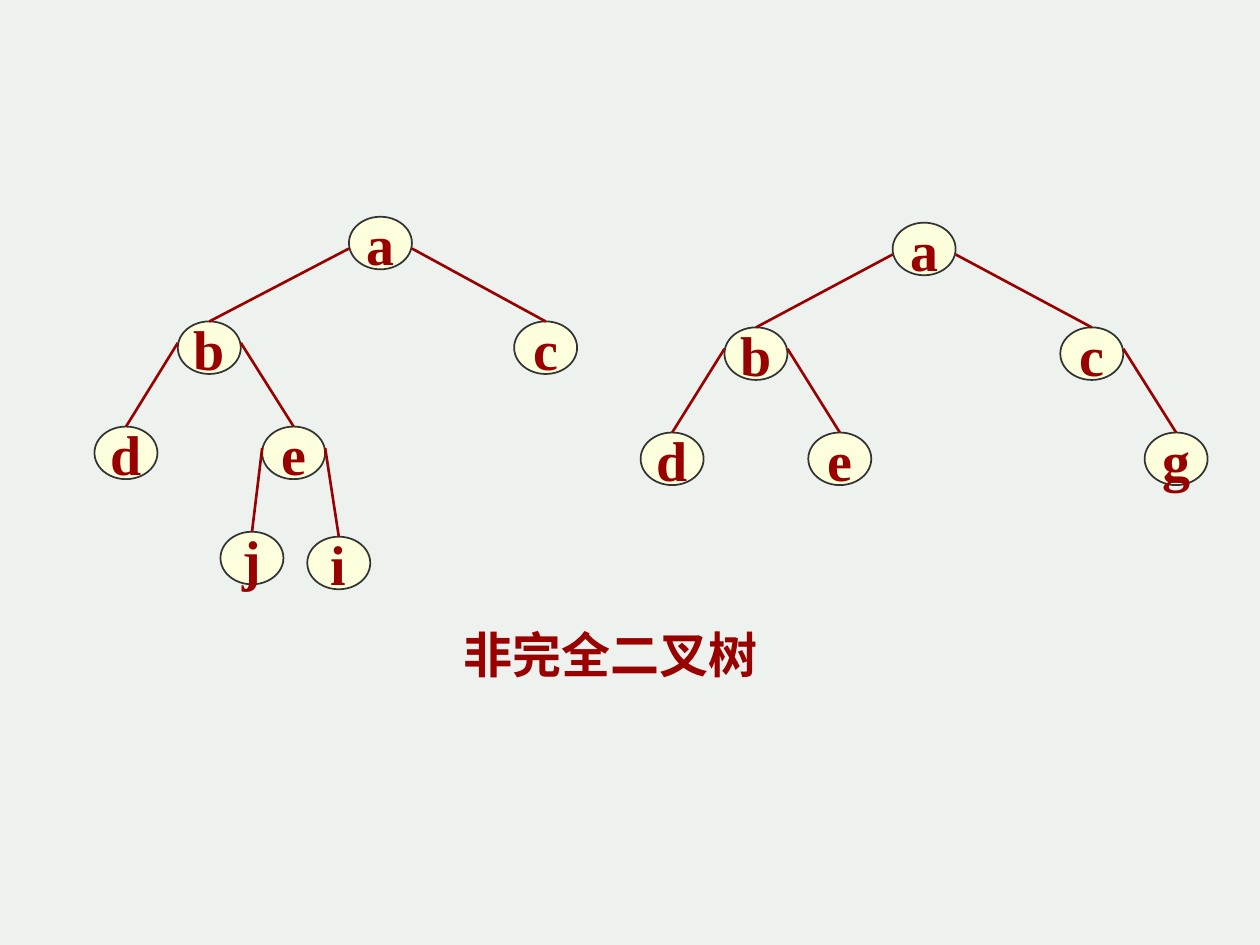
"""Build a slide that shows two binary trees that are not complete."""
from lxml.etree import SubElement
from pptx import Presentation
from pptx.dml.color import RGBColor
from pptx.enum.shapes import MSO_CONNECTOR, MSO_SHAPE
from pptx.enum.text import MSO_ANCHOR, MSO_AUTO_SIZE, PP_ALIGN
from pptx.oxml.ns import qn
from pptx.util import Cm, Pt

BACKGROUND = RGBColor(0xEE, 0xF2, 0xEE)
NODE_FILL = RGBColor(0xFC, 0xFE, 0xDC)
NODE_OUTLINE = RGBColor(0x33, 0x33, 0x33)
DARK_RED = RGBColor(0x99, 0x00, 0x00)
FONT = "Times New Roman"

NODE_WIDTH, NODE_HEIGHT = 1.27, 1.06
ROOT_DROP, BRANCH_DROP = 0.64, 0.43

LEFT_NODES = {
    "a": (7.67, 4.37),
    "b": (4.22, 6.48), "c": (11, 6.48),
    "d": (2.54, 8.6), "e": (5.92, 8.6),
    "i": (6.83, 10.82), "j": (5.08, 10.72),
}
LEFT_EDGES = ["ab", "ac", "bd", "be", "ei", "ej"]
RIGHT_NODES = {
    "a": (18.63, 4.49),
    "b": (15.24, 6.6), "c": (22.01, 6.6),
    "d": (13.55, 8.72), "e": (16.93, 8.72), "g": (23.71, 8.72),
}
RIGHT_EDGES = ["ab", "ac", "bd", "be", "cg"]


def style_text(paragraph, size):
    font = paragraph.runs[0].font
    font.name = FONT
    font.size = Pt(size)
    font.bold = True
    font.color.rgb = DARK_RED


def add_node(slide, label, center, top):
    node = slide.shapes.add_shape(
        MSO_SHAPE.OVAL, Cm(center - NODE_WIDTH / 2), Cm(top),
        Cm(NODE_WIDTH), Cm(NODE_HEIGHT))
    node.shadow.inherit = False
    node.fill.solid()
    node.fill.fore_color.rgb = NODE_FILL
    node.line.color.rgb = NODE_OUTLINE
    node.line.width = Pt(1)
    frame = node.text_frame
    frame.word_wrap = False
    frame.vertical_anchor = MSO_ANCHOR.MIDDLE
    frame.text = label
    frame.paragraphs[0].alignment = PP_ALIGN.CENTER
    style_text(frame.paragraphs[0], 32)


def add_edge(slide, parent, child, drop):
    (parent_x, parent_top), (child_x, child_top) = parent, child
    side = NODE_WIDTH / 2 if child_x > parent_x else -NODE_WIDTH / 2
    edge = slide.shapes.add_connector(
        MSO_CONNECTOR.STRAIGHT, Cm(parent_x + side), Cm(parent_top + drop),
        Cm(child_x), Cm(child_top))
    edge.line.color.rgb = DARK_RED
    edge.line.width = Pt(1.5)
    SubElement(edge._element.spPr, qn("a:effectLst"))


def add_tree(slide, nodes, edges):
    for label, (center, top) in nodes.items():
        add_node(slide, label, center, top)
    for parent, child in edges:
        drop = ROOT_DROP if parent == "a" else BRANCH_DROP
        add_edge(slide, nodes[parent], nodes[child], drop)


def add_caption(slide, caption):
    box = slide.shapes.add_textbox(Cm(9.1), Cm(12.47), Cm(7), Cm(1.44))
    frame = box.text_frame
    frame.word_wrap = True
    frame.auto_size = MSO_AUTO_SIZE.SHAPE_TO_FIT_TEXT
    frame.text = caption
    style_text(frame.paragraphs[0], 28)


def main():
    presentation = Presentation()
    presentation.slide_width = Cm(25.4)
    presentation.slide_height = Cm(19.05)
    slide = presentation.slides.add_slide(presentation.slide_layouts[6])
    slide.background.fill.solid()
    slide.background.fill.fore_color.rgb = BACKGROUND
    add_tree(slide, LEFT_NODES, LEFT_EDGES)
    add_tree(slide, RIGHT_NODES, RIGHT_EDGES)
    add_caption(slide, "非完全二叉树")
    presentation.save("out.pptx")


if __name__ == "__main__":
    main()
